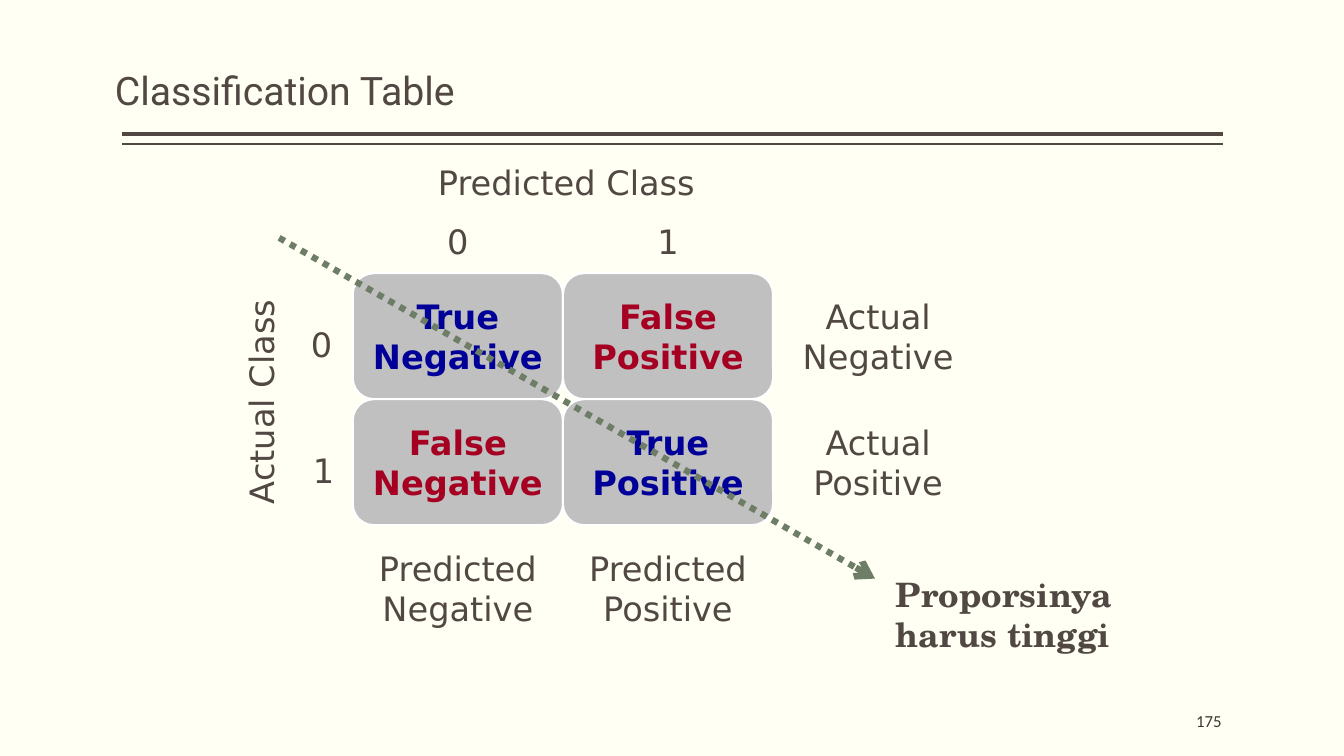
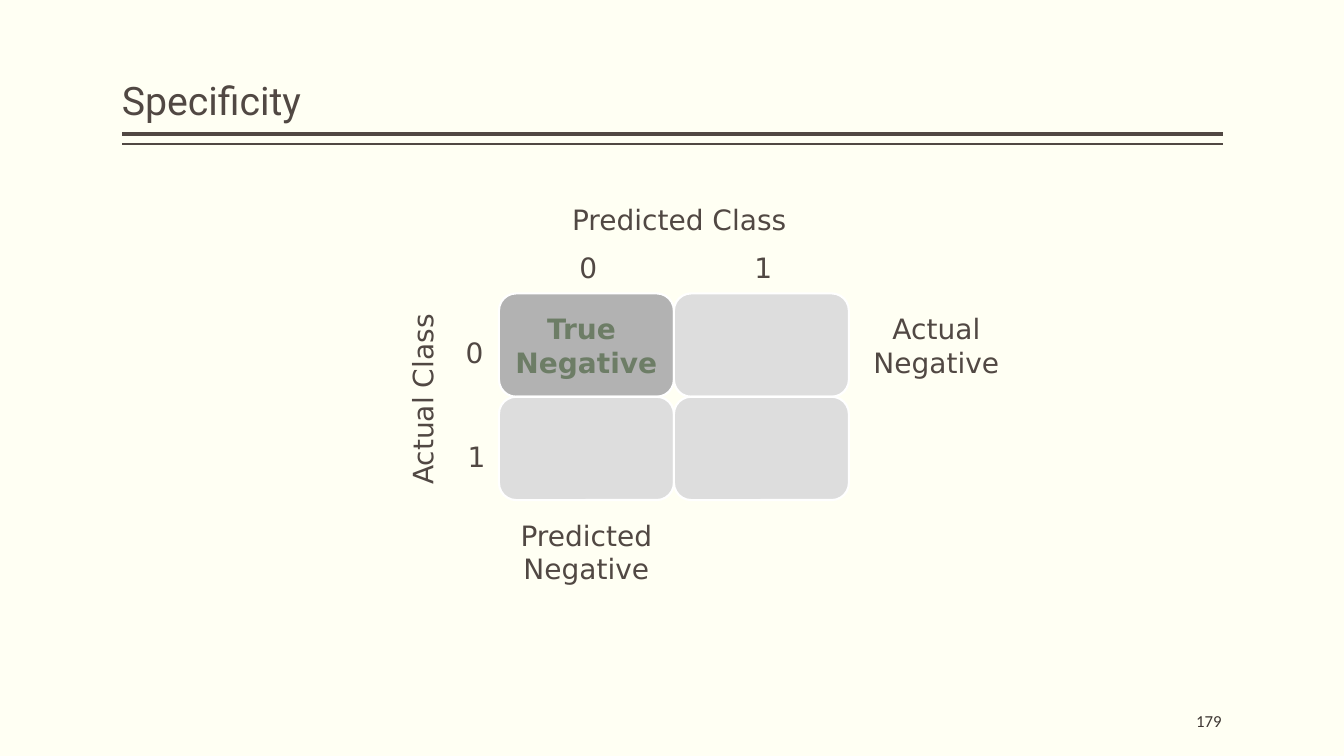
from dataclasses import dataclass

from lxml.etree import SubElement
from pptx import Presentation
from pptx.dml.color import RGBColor
from pptx.enum.dml import MSO_LINE
from pptx.enum.shapes import MSO_CONNECTOR, MSO_SHAPE
from pptx.enum.text import MSO_ANCHOR, MSO_AUTO_SIZE, PP_ALIGN
from pptx.oxml.ns import qn
from pptx.util import Pt


@dataclass(frozen=True)
class Theme:
    paper: str = "FFFFF3"
    ink: str = "514843"
    number: str = "3D3632"
    white: str = "FFFFFF"
    green: str = "6D7D66"
    blue: str = "000099"
    red: str = "A50021"
    cell: str = "C0C0C0"
    cell_strong: str = "B2B2B2"
    cell_faint: str = "DDDDDD"
    title_font: str = "Roboto"
    body_font: str = "DejaVu Sans"
    note_font: str = "TeX Gyre Schola"
    number_font: str = "Calibri"
    title_size: int = 28
    large: int = 24
    medium: int = 20
    small: int = 12


T = Theme()


def rgb(color):
    return RGBColor.from_string(color)


def write(sp, text, size=T.large, font=T.body_font, color=T.ink, bold=False,
          align=PP_ALIGN.CENTER, anchor=MSO_ANCHOR.MIDDLE, wrap=False,
          inset=7.2, spacing=None):
    """Fill a shape with text, one paragraph per line."""
    tf = sp.text_frame
    tf.auto_size = MSO_AUTO_SIZE.NONE
    tf.word_wrap = wrap
    tf.vertical_anchor = anchor
    tf.margin_left = tf.margin_right = Pt(inset)
    tf.margin_top = tf.margin_bottom = Pt(3.6)
    for i, line in enumerate(text.split("\n")):
        p = tf.add_paragraph() if i else tf.paragraphs[0]
        p.alignment = align
        p.line_spacing = spacing
        r = p.add_run()
        r.text = line
        r.font.name, r.font.size, r.font.bold = font, Pt(size), bold
        r.font.color.rgb = rgb(color)


def add_text(slide, box, text, **fmt):
    sp = slide.shapes.add_textbox(*map(Pt, box))
    write(sp, text, **fmt)
    return sp


def add_label(slide, cx, cy, text, **fmt):
    """Place a one-line label centred on a point."""
    w, h = 160, 36
    return add_text(slide, (cx - w / 2, cy - h / 2, w, h), text, **fmt)


def add_line(slide, start, end, color, width, dash=None, arrow=False):
    sp = slide.shapes.add_connector(MSO_CONNECTOR.STRAIGHT,
                                    *map(Pt, (*start, *end)))
    sp.line.color.rgb = rgb(color)
    sp.line.width = Pt(width)
    if dash:
        sp.line.dash_style = dash
    if arrow:
        SubElement(sp.line._get_or_add_ln(), qn("a:tailEnd"), type="arrow")
    SubElement(sp._element.spPr, qn("a:effectLst"))


def add_frame(prs, title, title_box, number):
    """Slide with title, double rule and page number."""
    slide = prs.slides.add_slide(prs.slide_layouts[5])
    for y, width in ((95.8, 3), (103, 1)):
        add_line(slide, (873.4, y), (87.1, y), T.ink, width)
    sp = slide.shapes.title
    sp.left, sp.top, sp.width, sp.height = map(Pt, title_box)
    write(sp, title, size=T.title_size, font=T.title_font, wrap=True,
          align=PP_ALIGN.LEFT, anchor=MSO_ANCHOR.BOTTOM, inset=0, spacing=0.9)
    add_text(slide, (728.6, 500.4, 144, 28.8), number, size=T.small,
             font=T.number_font, color=T.number, align=PP_ALIGN.RIGHT,
             wrap=True, inset=0)
    return slide


def add_matrix(slide, box, cells, row_notes, col_notes, size, nudge=0):
    """Two-by-two matrix in box, with labels around it."""
    x, y, width, height = box
    w, h = width / 2, height / 2

    def place(row, col):
        return x + col * w, y + row * h, w, h

    # Cells
    for i, (text, color, fill) in enumerate(cells):
        sp = slide.shapes.add_shape(MSO_SHAPE.ROUNDED_RECTANGLE,
                                    *map(Pt, place(*divmod(i, 2))))
        sp.shadow.inherit = False
        sp.fill.solid()
        sp.fill.fore_color.rgb = rgb(fill)
        sp.line.color.rgb = rgb(T.white)
        sp.line.width = Pt(1.5)
        if text:
            write(sp, text, size=size, color=color, bold=True)

    # Totals to the right and below
    for i, text in enumerate(row_notes):
        add_text(slide, place(i, 2), text, size=size)
    for i, text in enumerate(col_notes):
        add_text(slide, place(2, i), text, size=size)

    # Axis names and class values
    add_label(slide, x + w + 2.5 + nudge, y - 0.72 * h, "Predicted Class",
              size=size)
    sp = add_label(slide, x - 2.74 * size, y + h + 2, "Actual Class", size=size)
    sp.rotation = 270
    for i, text in enumerate("01"):
        add_label(slide, x + (i + 0.5) * w + nudge, y - 0.255 * h, text,
                  size=size)
        add_label(slide, x - 0.93 * size + 1.4 * i + nudge,
                  y + (i + 0.5) * h + 5.5, text, size=size)


def build_classification(prs):
    slide = add_frame(prs, "Classification Table", (82.1, -84.2, 620.6, 169.2),
                      "175")
    add_matrix(slide, (252, 195.1, 300.2, 180),
               [("True\nNegative", T.blue, T.cell),
                ("False\nPositive", T.red, T.cell),
                ("False\nNegative", T.red, T.cell),
                ("True\nPositive", T.blue, T.cell)],
               ["Actual\nNegative", "Actual\nPositive"],
               ["Predicted\nNegative", "Predicted\nPositive"], T.large)
    # Diagonal and its remark
    add_line(slide, (199.4, 169.9), (625, 413.3), T.green, 4.5,
             dash=MSO_LINE.ROUND_DOT, arrow=True)
    add_text(slide, (632.9, 406.1, 181.4, 65.5), "Proporsinya harus tinggi",
             font=T.note_font, bold=True, align=PP_ALIGN.LEFT,
             anchor=MSO_ANCHOR.TOP, wrap=True)


def build_specificity(prs):
    slide = add_frame(prs, "Specificity", (87.1, 5.8, 786.2, 86.4), "179")
    empty = ("", T.ink, T.cell_faint)
    add_matrix(slide, (356.4, 209.6, 250, 147.6),
               [("True \nNegative", T.green, T.cell_strong)] + [empty] * 3,
               ["Actual\nNegative"], ["Predicted\nNegative"], T.medium,
               nudge=1.3)


def main():
    prs = Presentation()
    prs.slide_width, prs.slide_height = Pt(960), Pt(540)
    fill = prs.slide_master.background.fill
    fill.solid()
    fill.fore_color.rgb = rgb(T.paper)
    build_classification(prs)
    build_specificity(prs)
    prs.save("out.pptx")


if __name__ == "__main__":
    main()
